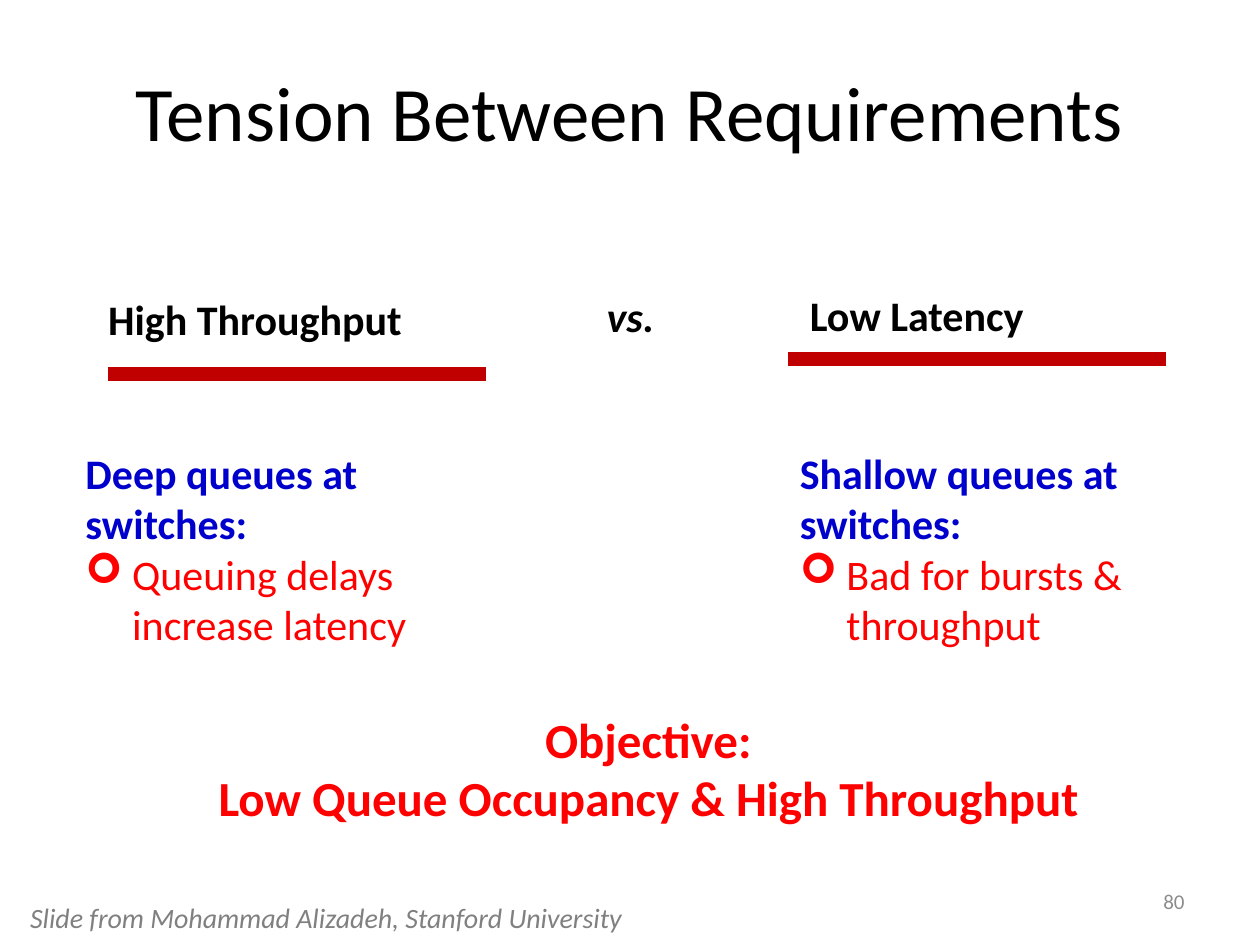
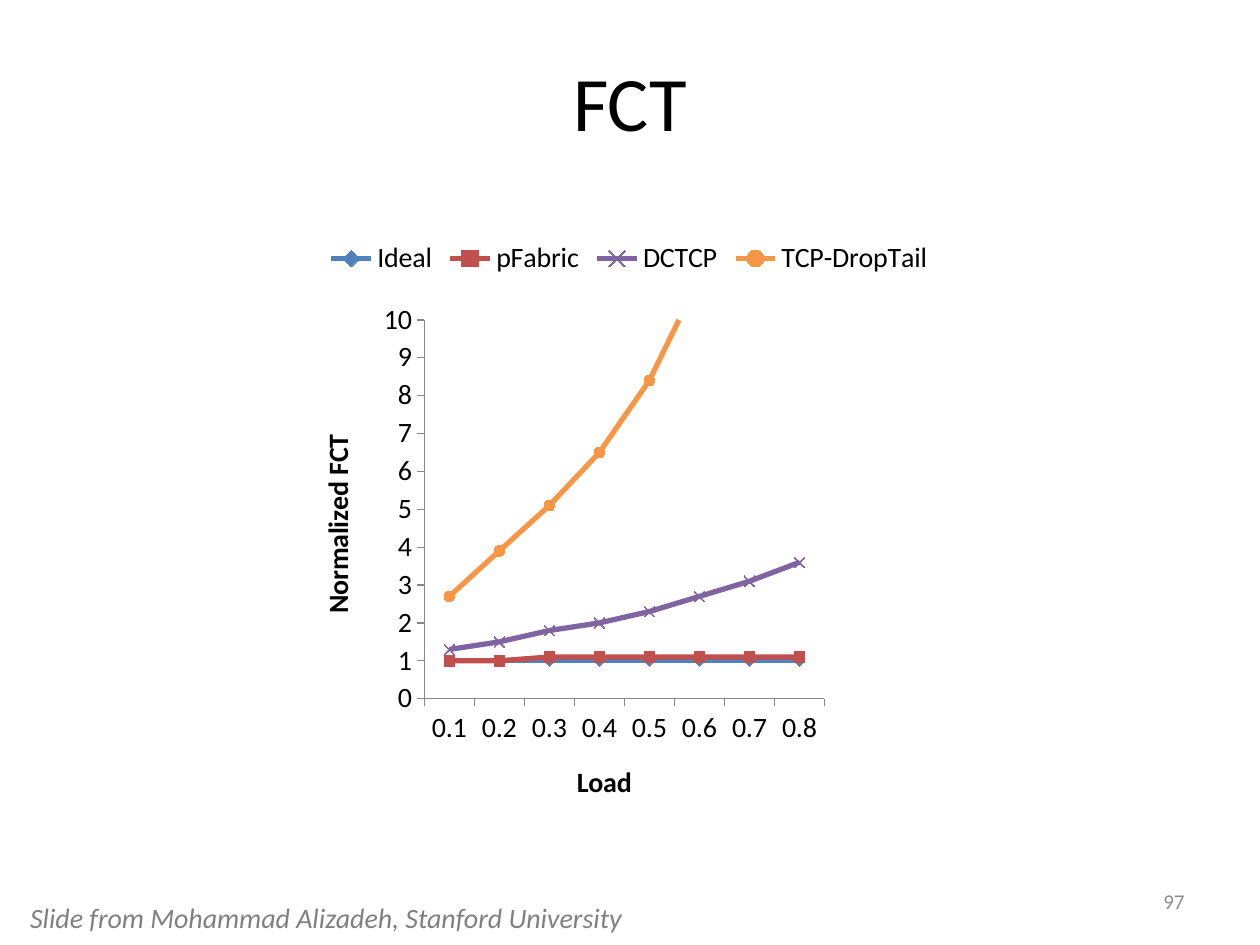
from lxml import etree
from pptx import Presentation
from pptx.chart.data import CategoryChartData
from pptx.dml.color import RGBColor
from pptx.enum.chart import XL_CHART_TYPE, XL_LEGEND_POSITION, XL_MARKER_STYLE, XL_TICK_MARK
from pptx.enum.shapes import MSO_CONNECTOR, MSO_SHAPE
from pptx.enum.text import MSO_ANCHOR, PP_ALIGN
from pptx.oxml import parse_xml
from pptx.oxml.ns import nsdecls, qn
from pptx.util import Inches, Pt

LEFT, CENTER, RIGHT = PP_ALIGN.LEFT, PP_ALIGN.CENTER, PP_ALIGN.RIGHT
TOP, MIDDLE = MSO_ANCHOR.TOP, MSO_ANCHOR.MIDDLE
STRAIGHT = MSO_CONNECTOR.STRAIGHT
ROUNDED_RECTANGLE = MSO_SHAPE.ROUNDED_RECTANGLE
LINE_MARKERS = XL_CHART_TYPE.LINE_MARKERS
LEGEND_TOP = XL_LEGEND_POSITION.TOP
TICK_OUTSIDE, TICK_NONE = XL_TICK_MARK.OUTSIDE, XL_TICK_MARK.NONE
DIAMOND, SQUARE = XL_MARKER_STYLE.DIAMOND, XL_MARKER_STYLE.SQUARE
CROSS, CIRCLE = XL_MARKER_STYLE.X, XL_MARKER_STYLE.CIRCLE

FONT = "Calibri"
BLACK = RGBColor(0x00, 0x00, 0x00)
WHITE = RGBColor(0xFF, 0xFF, 0xFF)
RED = RGBColor(0xFF, 0x00, 0x00)
DARK_RED = RGBColor(0xC0, 0x00, 0x00)
DEEP_BLUE = RGBColor(0x00, 0x00, 0xCC)
CREDIT_GRAY = RGBColor(0x80, 0x80, 0x80)
NUMBER_GRAY = RGBColor(0x8C, 0x8C, 0x8C)
AXIS_GRAY = RGBColor(0x86, 0x86, 0x86)
SERIES_BLUE = RGBColor(0x4F, 0x81, 0xBD)
SERIES_RED = RGBColor(0xC0, 0x50, 0x4D)
SERIES_PURPLE = RGBColor(0x80, 0x64, 0xA2)
SERIES_ORANGE = RGBColor(0xF7, 0x96, 0x46)

CREDIT = "Slide from Mohammad Alizadeh, Stanford University"
BULLET_INDENT = Inches(0.37)


def write(shape, text, size, color, align=LEFT, anchor=TOP, bold=False, italic=False, wrap=True):
    """Fill the shape with text in one style and return its text frame."""
    frame = shape.text_frame
    frame.text = text
    frame.word_wrap = wrap
    frame.vertical_anchor = anchor
    for paragraph in frame.paragraphs:
        paragraph.alignment = align
        for run in paragraph.runs:
            run.font.name = FONT
            run.font.size = Pt(size)
            run.font.color.rgb = color
            run.font.bold = bold
            run.font.italic = italic
    return frame


def add_text(slide, left, top, width, height, *content, **style):
    box = slide.shapes.add_textbox(Inches(left), Inches(top), Inches(width), Inches(height))
    return write(box, *content, **style)


presentation = Presentation()
presentation.slide_width = Inches(10)
presentation.slide_height = Inches(7.5)
blank_layout = presentation.slide_layouts[6]

# Title, slide number and credit line of every slide
slides = []
for title, title_top, number in [("Tension Between Requirements", 0.25, "80"), ("FCT", 0.17, "97")]:
    slide = presentation.slides.add_slide(blank_layout)
    add_text(slide, 0.5, title_top, 9, 1.25, title, 44, BLACK, align=CENTER, anchor=MIDDLE)
    add_text(slide, 7.17, 6.95, 2.33, 0.4, number, 12, NUMBER_GRAY, align=RIGHT, anchor=MIDDLE)
    add_text(slide, 0.14, 7.1, 5.02, 0.37, CREDIT, 16, CREDIT_GRAY, italic=True, wrap=False)
    slides.append(slide)
tension_slide, fct_slide = slides

# The two requirements: heading with its place, rule, then queue text
requirements = [
    ("High Throughput", 0.76, 2.28, 3.61, 0.86, 2.97,
     0.58, 2.92, "Deep queues at switches:\nQueuing delays\nincrease latency"),
    ("Low Latency", 6.33, 2.25, 1.97, 6.25, 2.85,
     6.25, 3.67, "Shallow queues at switches:\nBad for bursts &\nthroughput"),
]
for (heading, heading_left, heading_top, heading_width, rule_left, rule_top,
     queue_left, queue_width, queue_text) in requirements:
    add_text(tension_slide, heading_left, heading_top, heading_width, 0.5,
             heading, 24, BLACK, bold=True)

    rule = tension_slide.shapes.add_connector(
        STRAIGHT, Inches(rule_left), Inches(rule_top), Inches(rule_left + 3), Inches(rule_top))
    rule.line.color.rgb = DARK_RED
    rule.line.width = Pt(8)
    etree.SubElement(rule._element.spPr, qn("a:effectLst"))

    queue_frame = add_text(tension_slide, queue_left, 3.5, queue_width, 1.72, queue_text, 24, RED)
    queue_heading, bulleted, continued = queue_frame.paragraphs
    queue_heading.runs[0].font.bold = True
    queue_heading.runs[0].font.color.rgb = DEEP_BLUE
    for paragraph in (bulleted, continued):
        paragraph._p.get_or_add_pPr().set("marL", str(BULLET_INDENT))
    properties = bulleted._p.get_or_add_pPr()
    properties.set("indent", str(-BULLET_INDENT))
    etree.SubElement(properties, qn("a:buFont"), typeface="Wingdings")
    etree.SubElement(properties, qn("a:buChar"), char="➢")

add_text(tension_slide, 3.2, 2.26, 3.61, 0.5, "vs.", 24, BLACK, align=CENTER, bold=True, italic=True)

objective = tension_slide.shapes.add_shape(
    ROUNDED_RECTANGLE, Inches(1.52), Inches(5.52), Inches(7.25), Inches(1.15))
objective.shadow.inherit = False
objective.fill.solid()
objective.fill.fore_color.rgb = WHITE
objective.line.fill.background()
write(objective, "Objective:\nLow Queue Occupancy & High Throughput", 28, RED,
      align=CENTER, anchor=MIDDLE, bold=True)

# Flow completion time against load
series_styles = [
    ("Ideal", [1] * 8, SERIES_BLUE, DIAMOND),
    ("pFabric", [1, 1, 1.1, 1.1, 1.1, 1.1, 1.1, 1.1], SERIES_RED, SQUARE),
    ("DCTCP", [1.3, 1.5, 1.8, 2, 2.3, 2.7, 3.1, 3.6], SERIES_PURPLE, CROSS),
    ("TCP-DropTail", [2.7, 3.9, 5.1, 6.5, 8.4, 11.1, 15.1, 20.4], SERIES_ORANGE, CIRCLE),
]
chart_data = CategoryChartData()
chart_data.categories = [f"0.{tenth}" for tenth in range(1, 9)]
for name, values, color, marker in series_styles:
    chart_data.add_series(name, values)

chart = fct_slide.shapes.add_chart(
    LINE_MARKERS, Inches(1.12), Inches(1.8), Inches(7.75), Inches(4.93), chart_data).chart
chart.has_title = False
chart.font.name = FONT
chart.font.size = Pt(16)
chart.font.color.rgb = BLACK
chart.has_legend = True
chart.legend.position = LEGEND_TOP
chart.legend.include_in_layout = False
chart.plots[0].vary_by_categories = False

for series, (name, values, color, marker) in zip(chart.plots[0].series, series_styles):
    series.smooth = False
    series.format.line.color.rgb = color
    series.format.line.width = Pt(3)
    series.marker.style = marker
    series.marker.size = 6
    series.marker.format.line.color.rgb = color
    if marker != CROSS:
        series.marker.format.fill.solid()
        series.marker.format.fill.fore_color.rgb = color

for axis, axis_title in [(chart.category_axis, "Load"), (chart.value_axis, "Normalized FCT")]:
    axis.has_major_gridlines = False
    axis.major_tick_mark = TICK_OUTSIDE
    axis.minor_tick_mark = TICK_NONE
    axis.format.line.color.rgb = AXIS_GRAY
    axis.axis_title.text_frame.text = axis_title
    title_font = axis.axis_title.text_frame.paragraphs[0].runs[0].font
    title_font.name = FONT
    title_font.size = Pt(16)
    title_font.bold = True
    title_font.color.rgb = BLACK
chart.value_axis.minimum_scale = 0
chart.value_axis.maximum_scale = 10
chart.value_axis.major_unit = 1

plot_area = chart._chartSpace.chart.plotArea
for layout in plot_area.findall(qn("c:layout")):
    plot_area.remove(layout)
plot_area.insert(0, parse_xml(
    f'<c:layout {nsdecls("c")}><c:manualLayout><c:layoutTarget val="inner"/>'
    '<c:xMode val="edge"/><c:yMode val="edge"/><c:x val="0.29"/><c:y val="0.15"/>'
    '<c:w val="0.41"/><c:h val="0.61"/></c:manualLayout></c:layout>'))

presentation.save("out.pptx")
